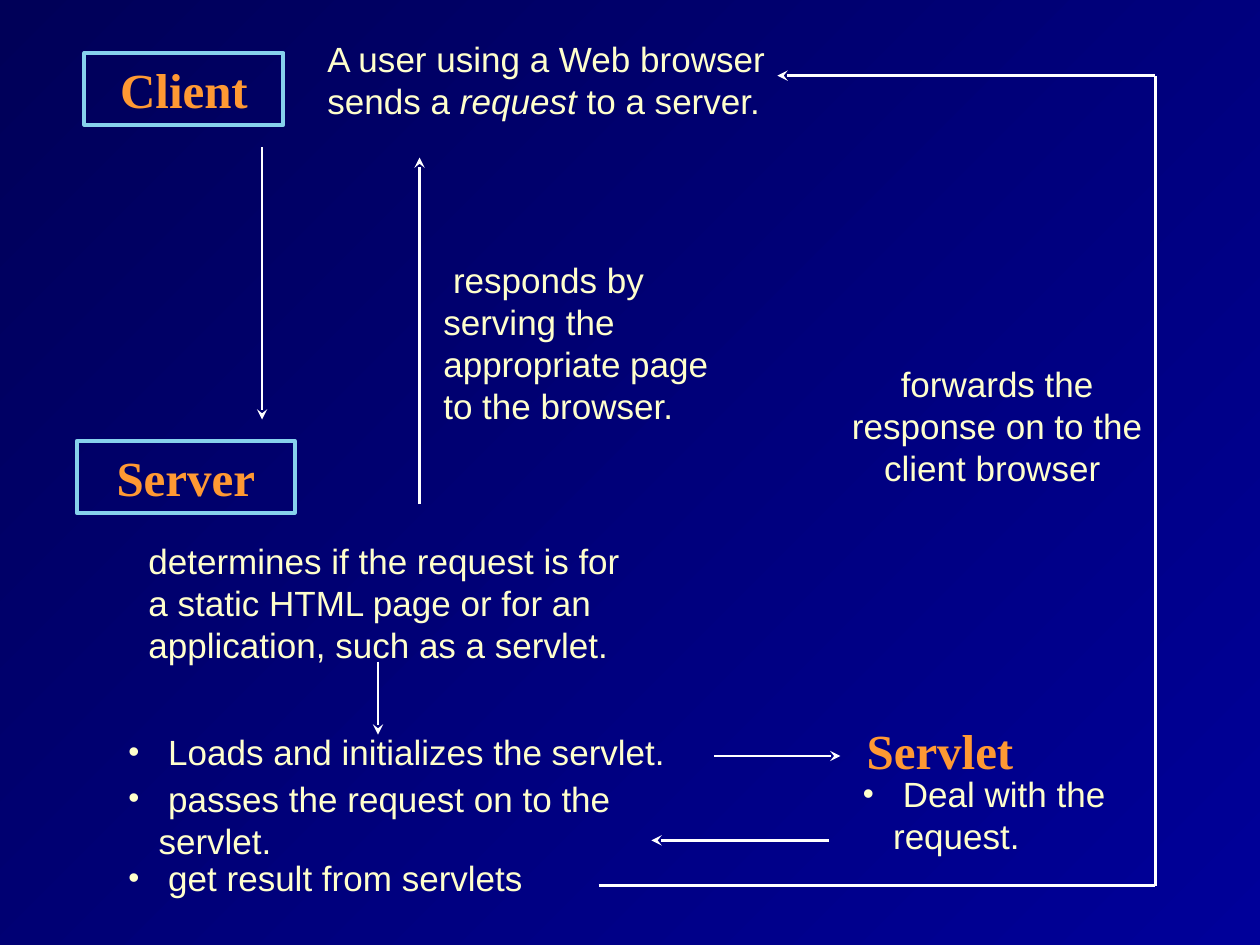
from dataclasses import dataclass

from lxml.etree import SubElement as Sub
from pptx import Presentation
from pptx.dml.color import RGBColor as RGB
from pptx.enum.shapes import MSO_CONNECTOR as Link
from pptx.enum.text import MSO_AUTO_SIZE as Fit, PP_ALIGN as Align
from pptx.oxml.ns import qn
from pptx.slide import Slide
from pptx.util import Inches, Pt


@dataclass(frozen=True)
class Theme:
    dark: str = "000058"
    blue: str = "000099"
    frame: str = "86D1EC"
    head: str = "FF9933"
    body: str = "FFFFCC"
    line: str = "FFFFFF"
    head_font: str = "Times New Roman"
    body_font: str = "Arial"
    head_size: int = 28
    body_size: int = 20


THEME = Theme()
HANG = 0.24


@dataclass(frozen=True)
class Text:
    left: float
    top: float
    width: float
    height: float
    lines: tuple[str, ...]  # asterisks enclose italic words
    head: bool = False
    frame: bool = False
    center: bool = False
    bullet: bool = False


@dataclass(frozen=True)
class Line:
    x1: float
    y1: float
    x2: float
    y2: float
    arrow: bool = True


TEXTS = (
    Text(0.67, 0.42, 1.58, 0.57, ("Client",), head=True, frame=True, center=True),
    Text(0.61, 3.5, 1.73, 0.57, ("Server",), head=True, frame=True, center=True),
    Text(6.5, 5.67, 1.92, 0.57, ("Servlet",), head=True, center=True),
    Text(2.5, 0.25, 3.83, 0.77,
         ("A user using a Web browser sends a *request* to a server.",)),
    Text(1.08, 4.23, 4, 1.1,
         ("determines if the request is for a static HTML page or for an "
          "application, such as a servlet.",)),
    Text(6.75, 6.08, 2.67, 0.77, (" Deal with the request.",), bullet=True),
    Text(3.42, 2, 2.58, 1.44,
         (" responds by serving the appropriate page to the browser.",)),
    Text(0.92, 6.75, 4.83, 0.44, (" get result from servlets",), bullet=True),
    Text(6.58, 2.83, 2.67, 1.1,
         ("forwards the response on to the client browser ",), center=True),
    Text(0.92, 5.75, 4.83, 1.14,
         (" Loads and initializes the servlet.",
          " passes the request on to the servlet."), bullet=True),
)

LINES = (
    Line(2.08, 1.17, 2.08, 3.33),
    Line(3.33, 4, 3.33, 1.25),
    Line(3, 5.25, 3, 5.83),
    Line(6.58, 6.67, 5.17, 6.67),
    Line(5.67, 6, 6.67, 6),
    Line(4.75, 7.03, 9.17, 7.03, arrow=False),
    Line(9.17, 7.03, 9.17, 0.6, arrow=False),
    Line(9.17, 0.6, 6.17, 0.6),
)


def color(code: str) -> RGB:
    return RGB.from_string(code)


def add_bullet(para) -> None:
    props = para._p.get_or_add_pPr()
    props.set("marL", str(Inches(HANG)))
    props.set("indent", str(-Inches(HANG)))
    Sub(Sub(props, qn("a:buClr")), qn("a:srgbClr"), val=THEME.body)
    Sub(props, qn("a:buSzPct"), val="90000")
    Sub(props, qn("a:buFont"), typeface=THEME.body_font)
    Sub(props, qn("a:buChar"), char="•")


def add_text(slide: Slide, item: Text) -> None:
    box = slide.shapes.add_textbox(
        *map(Inches, (item.left, item.top, item.width, item.height)))
    if item.frame:
        box.line.color.rgb = color(THEME.frame)
        box.line.width = Pt(2.25)
    frame = box.text_frame
    frame.word_wrap = True
    frame.auto_size = Fit.SHAPE_TO_FIT_TEXT
    for i, line in enumerate(item.lines):
        para = frame.add_paragraph() if i else frame.paragraphs[0]
        if i:
            para.space_before = Pt(2.5)
        para.alignment = Align.CENTER if item.center else Align.LEFT
        if item.bullet:
            add_bullet(para)
        font = para.font
        font.name = THEME.head_font if item.head else THEME.body_font
        font.size = Pt(THEME.head_size if item.head else THEME.body_size)
        font.bold = item.head
        font.color.rgb = color(THEME.head if item.head else THEME.body)
        for j, part in enumerate(line.split("*")):
            run = para.add_run()
            run.text = part
            if j % 2:
                run.font.italic = True


def add_line(slide: Slide, item: Line) -> None:
    link = slide.shapes.add_connector(
        Link.STRAIGHT, *map(Inches, (item.x1, item.y1, item.x2, item.y2)))
    link.line.color.rgb = color(THEME.line)
    link.line.width = Pt(1.5)
    if item.arrow:
        Sub(link.line._get_or_add_ln(), qn("a:tailEnd"), type="stealth")
    Sub(link._element.spPr, qn("a:effectLst"))


def paint(slide: Slide) -> None:
    fill = slide.background.fill
    fill.gradient()
    fill.gradient_angle = 315
    for stop, code in zip(fill.gradient_stops, (THEME.dark, THEME.blue)):
        stop.color.rgb = color(code)


def main() -> None:
    deck = Presentation()
    deck.slide_width, deck.slide_height = Inches(10), Inches(7.5)
    slide = deck.slides.add_slide(deck.slide_layouts[6])
    paint(slide)
    for item in TEXTS:
        add_text(slide, item)
    for item in LINES:
        add_line(slide, item)
    deck.save("out.pptx")


if __name__ == "__main__":
    main()
